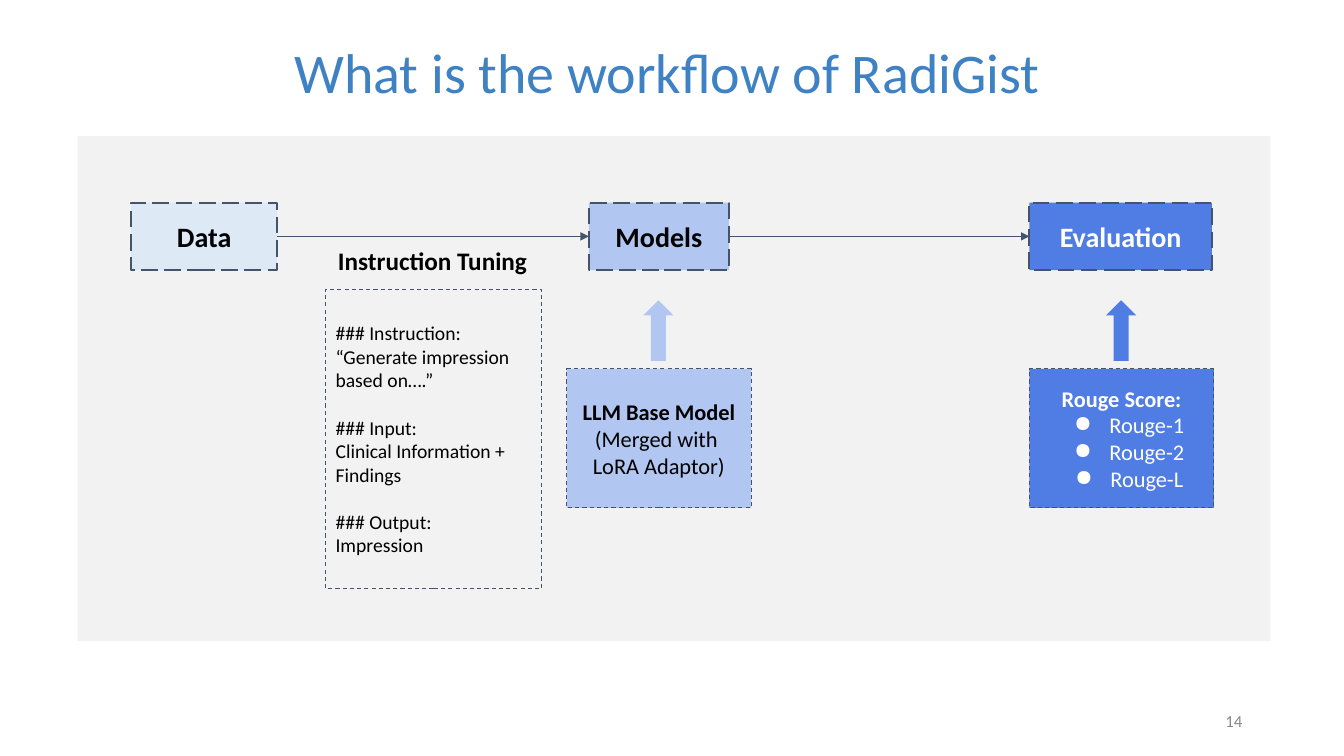
from dataclasses import dataclass

from lxml.etree import SubElement
from pptx import Presentation
from pptx.dml.color import RGBColor
from pptx.enum.dml import MSO_LINE
from pptx.enum.shapes import MSO_CONNECTOR, MSO_SHAPE
from pptx.enum.text import MSO_ANCHOR, MSO_AUTO_SIZE, PP_ALIGN
from pptx.oxml.ns import qn
from pptx.util import Emu, Pt

PX = 9144  # EMU per px, 100 px to the inch


@dataclass(frozen=True)
class Theme:
    font: str = "Calibri"
    title: str = "3F82C4"
    panel: str = "F2F2F2"
    data: str = "DDEAF6"
    model: str = "B2C6F2"
    evaluation: str = "4F7DE3"
    outline: str = "44546A"
    dark: str = "000000"
    light: str = "FFFFFF"
    muted: str = "888888"
    title_size: int = 40
    stage_size: int = 20
    label_size: int = 18
    detail_size: int = 16
    prompt_size: int = 14
    number_size: int = 12


T = Theme()


@dataclass(frozen=True)
class Line:
    text: str
    bold: bool = False
    bullet: bool = False
    before: int = 0


def px(*values):
    return [Emu(v * PX) for v in values]


def add_bullet(p, color):
    pPr = p._p.get_or_add_pPr()
    pPr.set("marL", str(50 * PX))
    pPr.set("indent", str(-35 * PX))
    clr = SubElement(pPr, qn("a:buClr"))
    SubElement(clr, qn("a:srgbClr")).set("val", color)
    SubElement(pPr, qn("a:buChar")).set("char", "●")


def write(sp, lines, size, color, align=PP_ALIGN.CENTER,
          anchor=MSO_ANCHOR.MIDDLE, pad=10):
    tf = sp.text_frame
    tf.word_wrap = True
    tf.auto_size = MSO_AUTO_SIZE.NONE
    tf.vertical_anchor = anchor
    tf.margin_left, tf.margin_right, tf.margin_top, tf.margin_bottom = px(10, 10, pad, pad)
    for i, line in enumerate(lines):
        p = tf.paragraphs[0] if i == 0 else tf.add_paragraph()
        p.alignment = align
        if line.before:
            p.space_before = Pt(line.before)
        if line.bullet:
            add_bullet(p, color)
        r = p.add_run()
        r.text = line.text
        r.font.name = T.font
        r.font.size = Pt(size)
        r.font.bold = line.bold
        r.font.color.rgb = RGBColor.from_string(color)


def add_block(slide, box, fill=None, dash=None, width=0.75, kind=MSO_SHAPE.RECTANGLE):
    sp = slide.shapes.add_shape(kind, *px(*box))
    sp.shadow.inherit = False
    if fill:
        sp.fill.solid()
        sp.fill.fore_color.rgb = RGBColor.from_string(fill)
    else:
        sp.fill.background()
    if dash:
        sp.line.color.rgb = RGBColor.from_string(T.outline)
        sp.line.width = Pt(width)
        sp.line.dash_style = dash
    else:
        sp.line.fill.background()
    return sp


def add_stage(slide, name, left, width, fill, color):
    sp = add_block(slide, (left, 201, width, 67), fill, MSO_LINE.LONG_DASH, 1.5)
    write(sp, [Line(name, bold=True)], T.stage_size, color)
    return sp


def add_detail(slide, left, lines, fill, color):
    """Detail box with a block arrow pointing up to its stage."""
    width = 183
    sp = add_block(slide, (left, 366, width, 138), fill, MSO_LINE.DASH)
    write(sp, lines, T.detail_size, color)
    add_block(slide, (left + width // 2 - 15, 298, 30, 60), fill, kind=MSO_SHAPE.UP_ARROW)


def add_link(slide, start, end):
    cn = slide.shapes.add_connector(MSO_CONNECTOR.STRAIGHT, 0, 0, 0, 0)
    cn.begin_connect(start, 3)
    cn.end_connect(end, 1)
    cn.line.color.rgb = RGBColor.from_string(T.outline)
    cn.line.width = Pt(0.75)
    SubElement(cn.line._get_or_add_ln(), qn("a:tailEnd")).set("type", "triangle")
    SubElement(cn._element.spPr, qn("a:effectLst"))


def add_label(slide, box, text, size, color, **style):
    write(slide.shapes.add_textbox(*px(*box)), [Line(text, style.pop("bold", False))],
          size, color, **style)


def add_title(slide, text):
    sp = slide.shapes.title
    sp.left, sp.top, sp.width, sp.height = px(68, 2, 1200, 145)
    write(sp, [Line(text)], T.title_size, T.title, pad=5)
    sp.text_frame.paragraphs[0].line_spacing = 0.9


def main():
    prs = Presentation()
    prs.slide_width, prs.slide_height = px(1333, 750)
    slide = prs.slides.add_slide(prs.slide_layouts[5])

    # Title, background panel and page number
    add_block(slide, (77, 135, 1183, 501), T.panel)
    add_title(slide, "What is the workflow of RadiGist ")
    add_label(slide, (942, 695, 300, 40), "14", T.number_size, T.muted,
              align=PP_ALIGN.RIGHT, pad=5)

    # Stages of the workflow
    stages = [
        add_stage(slide, "Data", 130, 145, T.data, T.dark),
        add_stage(slide, "Models", 584, 139, T.model, T.dark),
        add_stage(slide, "Evaluation", 1021, 181, T.evaluation, T.light),
    ]
    for start, end in zip(stages, stages[1:]):
        add_link(slide, start, end)

    # Details under the stages
    add_detail(slide, 562, [
        Line("LLM Base Model", bold=True),
        Line("(Merged with "),
        Line("LoRA Adaptor)"),
    ], T.model, T.dark)
    add_detail(slide, 1021, [Line("Rouge Score:", bold=True)] + [
        Line(f"Rouge-{kind}", bullet=True) for kind in "12L"
    ], T.evaluation, T.light)

    # Instruction tuning prompt
    add_label(slide, (309, 233, 240, 50), "Instruction Tuning", T.label_size, T.dark,
              bold=True, anchor=MSO_ANCHOR.TOP)
    prompt = add_block(slide, (323, 287, 214, 297), dash=MSO_LINE.DASH)
    write(prompt, [
        Line("### Instruction:"),
        Line("“Generate impression based on….”"),
        Line("### Input:", before=17),
        Line("Clinical Information + Findings"),
        Line("### Output:", before=17),
        Line("Impression"),
    ], T.prompt_size, T.dark, align=PP_ALIGN.LEFT)

    prs.save("out.pptx")


if __name__ == "__main__":
    main()
